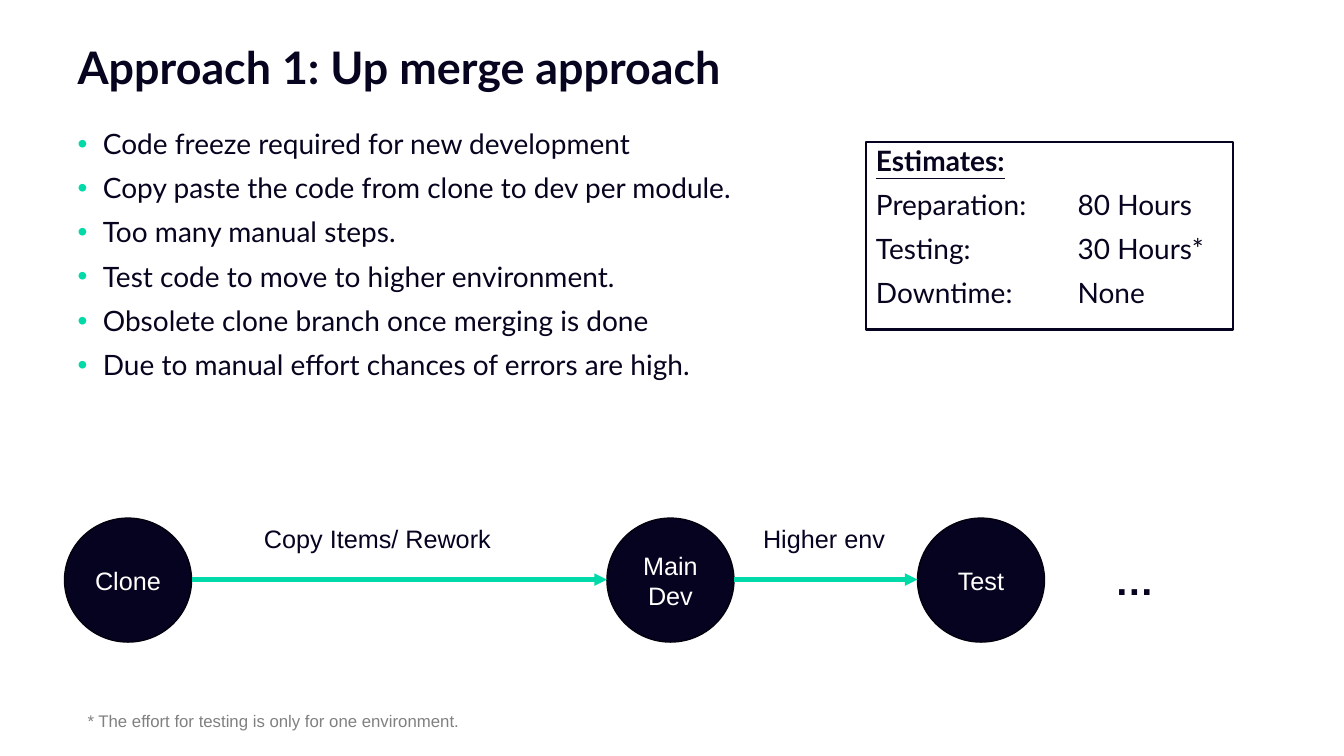
from lxml import etree
from pptx import Presentation
from pptx.dml.color import RGBColor
from pptx.enum.shapes import MSO_CONNECTOR, MSO_SHAPE
from pptx.enum.text import MSO_ANCHOR, MSO_AUTO_SIZE, PP_ALIGN
from pptx.oxml.ns import qn
from pptx.util import Inches, Pt

NAVY = RGBColor(0x06, 0x03, 0x20)
INK = RGBColor(0x06, 0x04, 0x1F)
OUTLINE = RGBColor(0x03, 0x01, 0x0E)
GREEN = RGBColor(0x00, 0xDA, 0xA9)
GRAY = RGBColor(0x80, 0x80, 0x80)
WHITE = RGBColor(0xFF, 0xFF, 0xFF)

STRAIGHT = MSO_CONNECTOR.STRAIGHT
OVAL, RECTANGLE = MSO_SHAPE.OVAL, MSO_SHAPE.RECTANGLE
TOP, MIDDLE = MSO_ANCHOR.TOP, MSO_ANCHOR.MIDDLE
LEFT, CENTER = PP_ALIGN.LEFT, PP_ALIGN.CENTER
NO_FIT, GROW = MSO_AUTO_SIZE.NONE, MSO_AUTO_SIZE.SHAPE_TO_FIT_TEXT

TITLE_FONT = {"name": "Lato", "size": Pt(32), "bold": True}
BODY_FONT = {"name": "Lato", "size": Pt(20)}
HEADING_FONT = {**BODY_FONT, "bold": True, "underline": True}
LABEL_FONT = {"name": "Arial", "size": Pt(18)}
DOTS_FONT = {"name": "Arial", "size": Pt(28), "bold": True}
NOTE_FONT = {"name": "Arial", "size": Pt(12)}
LIST_SPACING = {"alignment": LEFT, "line_spacing": 0.9, "space_before": Pt(10), "space_after": Pt(0)}

CIRCLE_WIDTH, CIRCLE_HEIGHT, CIRCLE_TOP = 1.26, 1.23, 5.14
ARROW_Y = 5.75


def set_all(target, values):
    for name, value in values.items():
        setattr(target, name, value)


def add_element(parent, tag, **attributes):
    return etree.SubElement(parent, qn(tag), attributes)


class SlideBuilder:
    def __init__(self, presentation):
        self.slide = presentation.slides.add_slide(presentation.slide_layouts[1])
        self.shapes = self.slide.shapes

    def fill_text(self, shape, lines, font, color, paragraph_format, frame_format):
        """Fill a shape with one paragraph per line."""
        frame = shape.text_frame
        set_all(frame, {"word_wrap": True, **frame_format})
        for index, line in enumerate(lines):
            paragraph = frame.add_paragraph() if index else frame.paragraphs[0]
            set_all(paragraph, paragraph_format)
            run = paragraph.add_run()
            run.text = line
            set_all(run.font, font)
            run.font.color.rgb = color
        return frame.paragraphs

    def place(self, shape, box):
        set_all(shape, dict(zip(("left", "top", "width", "height"), map(Inches, box))))

    def title(self, text, box):
        shape = self.shapes.title
        self.place(shape, box)
        self.fill_text(shape, [text], TITLE_FONT, INK, {"alignment": LEFT, "line_spacing": 0.9},
                       {"vertical_anchor": MIDDLE, "auto_size": NO_FIT})

    def bullets(self, lines, box):
        shape = self.slide.placeholders[1]
        self.place(shape, box)
        paragraphs = self.fill_text(shape, lines, BODY_FONT, INK, LIST_SPACING,
                                    {"vertical_anchor": TOP, "auto_size": NO_FIT})
        indent = Inches(0.25)
        for paragraph in paragraphs:
            properties = paragraph._p.get_or_add_pPr()
            properties.set("marL", str(indent))
            properties.set("indent", str(-indent))
            add_element(add_element(properties, "a:buClr"), "a:srgbClr", val=str(GREEN))
            add_element(properties, "a:buFont", typeface="Arial")
            add_element(properties, "a:buChar", char="•")

    def shape(self, kind, box, line_color, line_width):
        shape = self.shapes.add_shape(kind, *map(Inches, box))
        shape.shadow.inherit = False
        shape.line.color.rgb = line_color
        shape.line.width = Pt(line_width)
        return shape

    def estimates(self, heading, rows, box):
        shape = self.shape(RECTANGLE, box, NAVY, 2)
        shape.fill.background()
        lines = [heading] + [f"{task}: \t{effort}" for task, effort in rows]
        paragraphs = self.fill_text(shape, lines, BODY_FONT, INK, LIST_SPACING, {"vertical_anchor": TOP})
        set_all(paragraphs[0].runs[0].font, HEADING_FONT)
        for paragraph in paragraphs[1:]:
            tabs = add_element(paragraph._p.get_or_add_pPr(), "a:tabLst")
            add_element(tabs, "a:tab", pos=str(Inches(2)), algn="l")

    def circle(self, text, left):
        shape = self.shape(OVAL, (left, CIRCLE_TOP, CIRCLE_WIDTH, CIRCLE_HEIGHT), OUTLINE, 1)
        shape.fill.solid()
        shape.fill.fore_color.rgb = NAVY
        self.fill_text(shape, [text], LABEL_FONT, WHITE, {"alignment": CENTER}, {"vertical_anchor": MIDDLE})

    def arrow(self, start, end):
        connector = self.shapes.add_connector(
            STRAIGHT, Inches(start), Inches(ARROW_Y), Inches(end), Inches(ARROW_Y))
        connector.line.color.rgb = GREEN
        connector.line.width = Pt(3)
        properties = connector._element.spPr
        add_element(properties.get_or_add_ln(), "a:tailEnd", type="triangle")
        add_element(properties, "a:effectLst")

    def text(self, text, box, font, color=NAVY):
        shape = self.shapes.add_textbox(*map(Inches, box))
        self.fill_text(shape, [text], font, color, {"alignment": LEFT}, {"auto_size": GROW})


def main():
    presentation = Presentation()
    presentation.slide_width, presentation.slide_height = Inches(13.33), Inches(7.5)
    builder = SlideBuilder(presentation)

    builder.title("Approach 1: Up merge approach", (0.67, 0.3, 12, 0.78))
    builder.bullets([
        "Code freeze required for new development",
        "Copy paste the code from clone to dev per module.",
        "Too many manual steps.",
        "Test code to move to higher environment.",
        "Obsolete clone branch once merging is done",
        "Due to manual effort chances of errors are high.",
    ], (0.67, 1.24, 12, 5.45))
    builder.estimates("Estimates:", [
        ("Preparation", "80 Hours"),
        ("Testing", "30 Hours*"),
        ("Downtime", "None"),
    ], (8.59, 1.41, 3.64, 1.86))

    stages = [("Clone", 0.64), ("Main Dev", 6.02), ("Test", 9.1)]
    for name, left in stages:
        builder.circle(name, left)
    for (_, left), (_, next_left) in zip(stages, stages[1:]):
        builder.arrow(left + CIRCLE_WIDTH, next_left)
    for label, left in (("Copy Items/ Rework", 2.52), ("Higher env", 7.47)):
        builder.text(label, (left, CIRCLE_TOP, 2.66, 0.4), LABEL_FONT)

    builder.text("…", (10.96, 5.47, 1.1, 0.57), DOTS_FONT)
    builder.text("* The effort for testing is only for one environment.", (0.77, 7, 12, 0.3), NOTE_FONT, GRAY)
    presentation.save("out.pptx")


if __name__ == "__main__":
    main()
